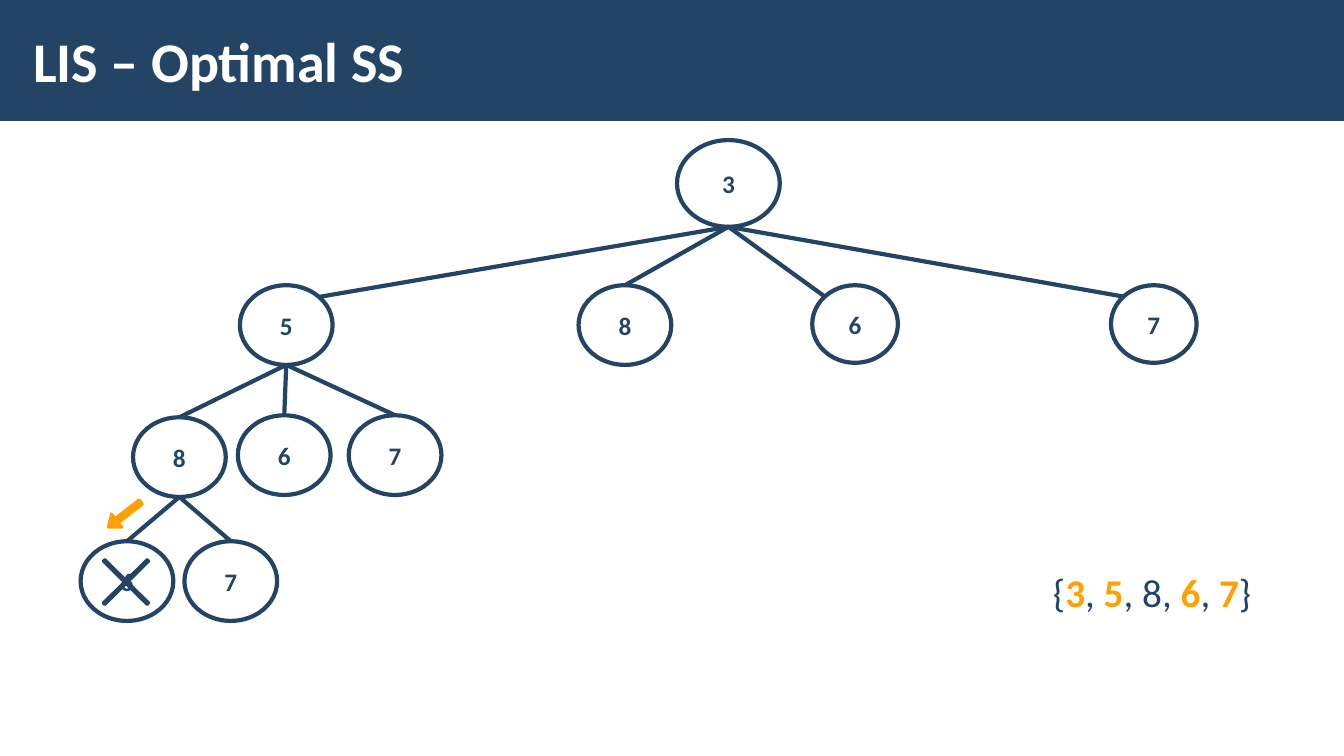
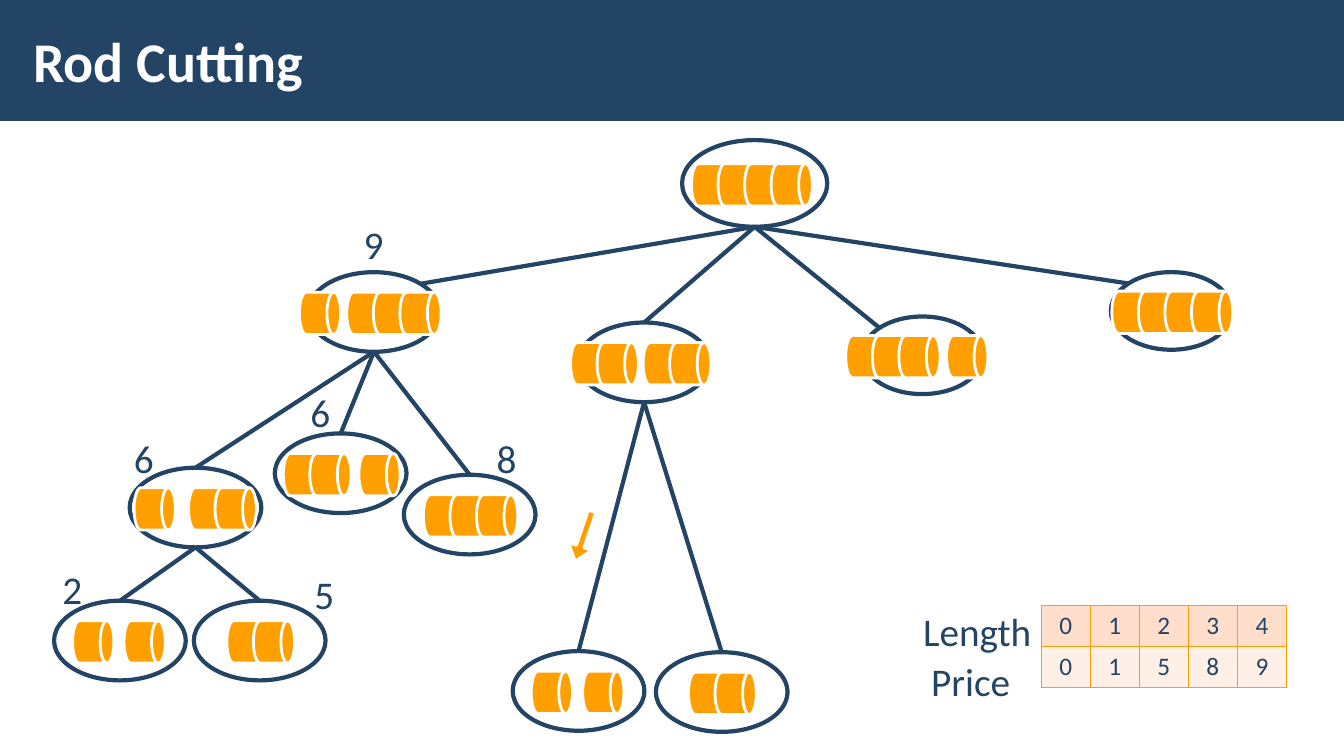
import dataclasses
import math

import lxml.etree
import pptx
import pptx.dml.color
import pptx.enum.shapes
import pptx.enum.text
import pptx.oxml.ns
import pptx.util

SHAPE = pptx.enum.shapes.MSO_SHAPE
ALIGN = pptx.enum.text.PP_ALIGN
MIDDLE = pptx.enum.text.MSO_ANCHOR.MIDDLE
GROW = pptx.enum.text.MSO_AUTO_SIZE.SHAPE_TO_FIT_TEXT
qn = pptx.oxml.ns.qn

NAVY, ORANGE, WHITE = "234465", "FFA000", "FFFFFF"
ROW_FILLS = ("FFDFCC", "FFF0E7")
FONT = "Calibri"

SLIDE_WIDTH, SLIDE_HEIGHT = pptx.util.Inches(13.33), pptx.util.Inches(7.5)
COLUMNS, ROWS = 40, 22.5
COLUMN, ROW = SLIDE_WIDTH / COLUMNS, SLIDE_HEIGHT / ROWS

DRUM_WIDTH, DRUM_HEIGHT, DRUM_STEP, DRUM_DROP = 1.23, 1.26, 0.79, 0.04

TIGHT = {"margin_left": 0, "margin_right": 0, "word_wrap": True,
         "margin_top": pptx.util.Inches(0.04),
         "margin_bottom": pptx.util.Inches(0.04), "vertical_anchor": MIDDLE}
TITLE_FRAME = TIGHT | {"margin_left": pptx.util.Inches(0.12),
                       "margin_right": pptx.util.Inches(0.12)}
FREE = {"word_wrap": False, "auto_size": GROW}


@dataclasses.dataclass(frozen=True)
class Area:
    """A rectangle in grid columns and rows."""
    left: float
    top: float
    width: float
    height: float

    def emu(self) -> tuple[int, int, int, int]:
        return (round(self.left * COLUMN), round(self.top * ROW),
                round(self.width * COLUMN), round(self.height * ROW))


@dataclasses.dataclass(frozen=True)
class Span:
    text: str
    size: float = 28
    color: str = NAVY
    bold: bool = False


@dataclasses.dataclass(frozen=True)
class Node:
    """A tree node; port is where its edge arrives: -1 upper left, 0 top, 1 upper right.

    rods holds pairs of start column and number of drums.
    """
    center: float
    top: float
    size: tuple[float, float]
    text: str = ""
    rods: tuple[tuple[float, int], ...] = ()
    port: int = 0
    children: tuple["Node", ...] = ()

    def entry(self) -> tuple[float, float]:
        width, height = self.size
        if not self.port:
            return self.center, self.top
        slant = math.sqrt(0.5)
        return (self.center + self.port * slant * width / 2,
                self.top + (1 - slant) * height / 2)


LARGE, MEDIUM, SMALL = (3.06, 2.58), (2.76, 2.37), (2.55, 2.31)
WIDE_LARGE, WIDE, WIDE_SMALL = (4.32, 2.58), (3.92, 2.37), (3.6, 2.31)

SEQUENCE_TREE = Node(21.68, 4.17, LARGE, "3", children=(
    Node(8.52, 8.49, MEDIUM, "5", port=1, children=(
        Node(5.34, 12.42, MEDIUM, "8", children=(
            Node(3.78, 16.11, MEDIUM, "6"),
            Node(6.87, 16.11, MEDIUM, "7"))),
        Node(8.46, 12.36, MEDIUM, "6"),
        Node(11.76, 12.36, MEDIUM, "7"))),
    Node(18.6, 8.49, MEDIUM, "8"),
    Node(25.45, 8.49, SMALL, "6", port=-1),
    Node(34.34, 8.49, SMALL, "7", port=-1)))

ROD_TREE = Node(22.46, 4.17, WIDE_LARGE, rods=((20.58, 4),), children=(
    Node(11.13, 8.1, WIDE, rods=((8.91, 1), (10.32, 3)), port=1, children=(
        Node(5.82, 13.92, WIDE, rods=((3.99, 1), (5.61, 2)), children=(
            Node(3.57, 17.88, WIDE, rods=((2.16, 1), (3.69, 1))),
            Node(7.73, 17.88, WIDE, rods=((6.75, 2),)))),
        Node(10.14, 12.9, WIDE, rods=((8.43, 2), (10.68, 1))),
        Node(13.98, 14.13, WIDE, rods=((12.6, 3),)))),
    Node(19.17, 9.6, WIDE, rods=((16.98, 2), (19.14, 2)), children=(
        Node(17.22, 19.38, WIDE, rods=((15.81, 1), (17.34, 1))),
        Node(21.48, 19.41, WIDE, rods=((20.49, 2),)))),
    Node(27.45, 9.42, WIDE_SMALL, rods=((25.17, 3), (28.17, 1)), port=-1),
    Node(34.86, 8.1, WIDE_SMALL, rods=((33.09, 4),), port=-1)))

SEQUENCE = (Span(" {"), Span("3", color=ORANGE, bold=True), Span(", "),
            Span("5", color=ORANGE, bold=True), Span(", 8, "),
            Span("6", color=ORANGE, bold=True), Span(", "),
            Span("7", color=ORANGE, bold=True), Span("}"))

ROD_LABELS = (
    ("Length", Area(27.18, 17.94, 3.84, 1.71)),
    ("Price", Area(27.42, 19.41, 2.97, 1.71)),
    ("9", Area(10.53, 6.42, 1.2, 1.71)),
    ("6", Area(3.69, 12.78, 1.2, 1.71)),
    ("6", Area(8.94, 11.4, 1.2, 1.71)),
    ("8", Area(14.49, 12.78, 1.2, 1.71)),
    ("2", Area(1.56, 16.68, 1.2, 1.71)),
    ("5", Area(9.06, 16.83, 1.2, 1.71)))

PRICES = (("0", "1", "2", "3", "4"), ("0", "1", "5", "8", "9"))


def apply(target: object, formats: dict) -> None:
    for name, value in formats.items():
        setattr(target, name, value)


def paint(fill: pptx.dml.fill.FillFormat, color: str) -> None:
    fill.solid()
    fill.fore_color.rgb = pptx.dml.color.RGBColor.from_string(color)


def write(frame: pptx.text.text.TextFrame, spans: tuple[Span, ...],
          align: ALIGN = ALIGN.LEFT) -> None:
    para = frame.paragraphs[0]
    para.alignment = align
    for span in spans:
        run = para.add_run()
        run.text = span.text
        apply(run.font, {"name": FONT, "size": pptx.util.Pt(span.size),
                         "bold": span.bold})
        paint(run.font.fill, span.color)


def add_text(page: pptx.slide.Slide, area: Area, spans: tuple[Span, ...],
             formats: dict) -> None:
    box = page.shapes.add_textbox(*area.emu())
    apply(box.text_frame, formats)
    write(box.text_frame, spans)


def add_figure(page: pptx.slide.Slide, kind: SHAPE, area: Area, fill: str,
               line: str | None = None, weight: float = 2, turn: float = 0,
               adjust: tuple[float, ...] = ()) -> pptx.shapes.autoshape.Shape:
    figure = page.shapes.add_shape(kind, *area.emu())
    figure.shadow.inherit = False
    figure.rotation = turn
    for index, value in enumerate(adjust):
        figure.adjustments[index] = value
    paint(figure.fill, fill)
    if line:
        paint(figure.line.fill, line)
        figure.line.width = pptx.util.Pt(weight)
    else:
        figure.line.fill.background()
    return figure


def add_arrow(page: pptx.slide.Slide, area: Area, turn: float, line: str) -> None:
    add_figure(page, SHAPE.RIGHT_ARROW, area, ORANGE, line, turn=turn,
               adjust=(0.324, 0.632))


def add_edge(page: pptx.slide.Slide, start: tuple[float, float],
             end: tuple[float, float]) -> None:
    points = [round(length * unit) for point in (start, end)
              for length, unit in zip(point, (COLUMN, ROW))]
    edge = page.shapes.add_connector(
        pptx.enum.shapes.MSO_CONNECTOR.STRAIGHT, *points)
    paint(edge.line.fill, NAVY)
    edge.line.width = pptx.util.Pt(3)
    lxml.etree.SubElement(edge._element.spPr, qn("a:effectLst"))


def add_tree(page: pptx.slide.Slide, node: Node) -> None:
    """Draw a node with its rods, then its subtrees and the edges to them."""
    width, height = node.size
    oval = add_figure(page, SHAPE.OVAL,
                      Area(node.center - width / 2, node.top, width, height),
                      WHITE, NAVY, weight=3)
    color = oval._element.spPr.find(qn("a:solidFill"))[0]
    lxml.etree.SubElement(color, qn("a:alpha"), val="50000")
    if node.text:
        apply(oval.text_frame, TIGHT)
        write(oval.text_frame, (Span(node.text, 18, bold=True),), ALIGN.CENTER)
    drum_top = node.top + (height - DRUM_HEIGHT) / 2 + DRUM_DROP
    for start, count in node.rods:
        for index in range(count):
            add_figure(page, SHAPE.FLOWCHART_DIRECT_ACCESS_STORAGE,
                       Area(start + index * DRUM_STEP, drum_top,
                            DRUM_WIDTH, DRUM_HEIGHT), ORANGE, WHITE)
    for child in node.children:
        add_tree(page, child)
        add_edge(page, (node.center, node.top + height), child.entry())


def add_border(cell: pptx.table._Cell) -> None:
    properties = cell._tc.get_or_add_tcPr()
    for index, side in enumerate(("a:lnL", "a:lnR", "a:lnT", "a:lnB")):
        line = lxml.etree.Element(qn(side), w=str(pptx.util.Pt(1)))
        solid = lxml.etree.SubElement(line, qn("a:solidFill"))
        lxml.etree.SubElement(solid, qn("a:srgbClr"), val=ORANGE)
        properties.insert(index, line)


def add_prices(page: pptx.slide.Slide) -> None:
    area = Area(30.99, 18.03, 7.3, 2.44)
    table = page.shapes.add_table(len(PRICES), len(PRICES[0]), *area.emu()).table
    for row, (values, fill) in enumerate(zip(PRICES, ROW_FILLS)):
        for column, value in enumerate(values):
            cell = table.cell(row, column)
            paint(cell.fill, fill)
            add_border(cell)
            write(cell.text_frame, (Span(value, 18),), ALIGN.CENTER)


def add_page(deck: pptx.presentation.Presentation,
             title: str) -> pptx.slide.Slide:
    """Add a blank slide with the title band."""
    page = deck.slides.add_slide(deck.slide_layouts[6])
    add_figure(page, SHAPE.RECTANGLE, Area(0, 0, COLUMNS, 3.6), NAVY)
    add_text(page, Area(0.63, 0.33, 31.89, 2.91),
             (Span(title, 40, WHITE, True),), TITLE_FRAME)
    return page


def add_sequence_page(deck: pptx.presentation.Presentation) -> None:
    page = add_page(deck, "LIS – Optimal SS")
    add_tree(page, SEQUENCE_TREE)
    add_arrow(page, Area(3.09, 15.06, 1.23, 0.51), 142.2, ORANGE)
    add_figure(page, SHAPE.MATH_MULTIPLY, Area(2.49, 16.08, 2.52, 2.49),
               NAVY, NAVY, adjust=(0.028,))
    add_text(page, Area(30.78, 16.77, 7.14, 1.71), SEQUENCE, FREE)


def add_rod_page(deck: pptx.presentation.Presentation) -> None:
    page = add_page(deck, "Rod Cutting")
    add_tree(page, ROD_TREE)
    add_arrow(page, Area(16.59, 15.6, 1.56, 0.72), 108.7, WHITE)
    for text, area in ROD_LABELS:
        add_text(page, area, (Span(text),), FREE)
    add_prices(page)


def main() -> None:
    deck = pptx.Presentation()
    apply(deck, {"slide_width": SLIDE_WIDTH, "slide_height": SLIDE_HEIGHT})
    add_sequence_page(deck)
    add_rod_page(deck)
    deck.save("out.pptx")


if __name__ == "__main__":
    main()
